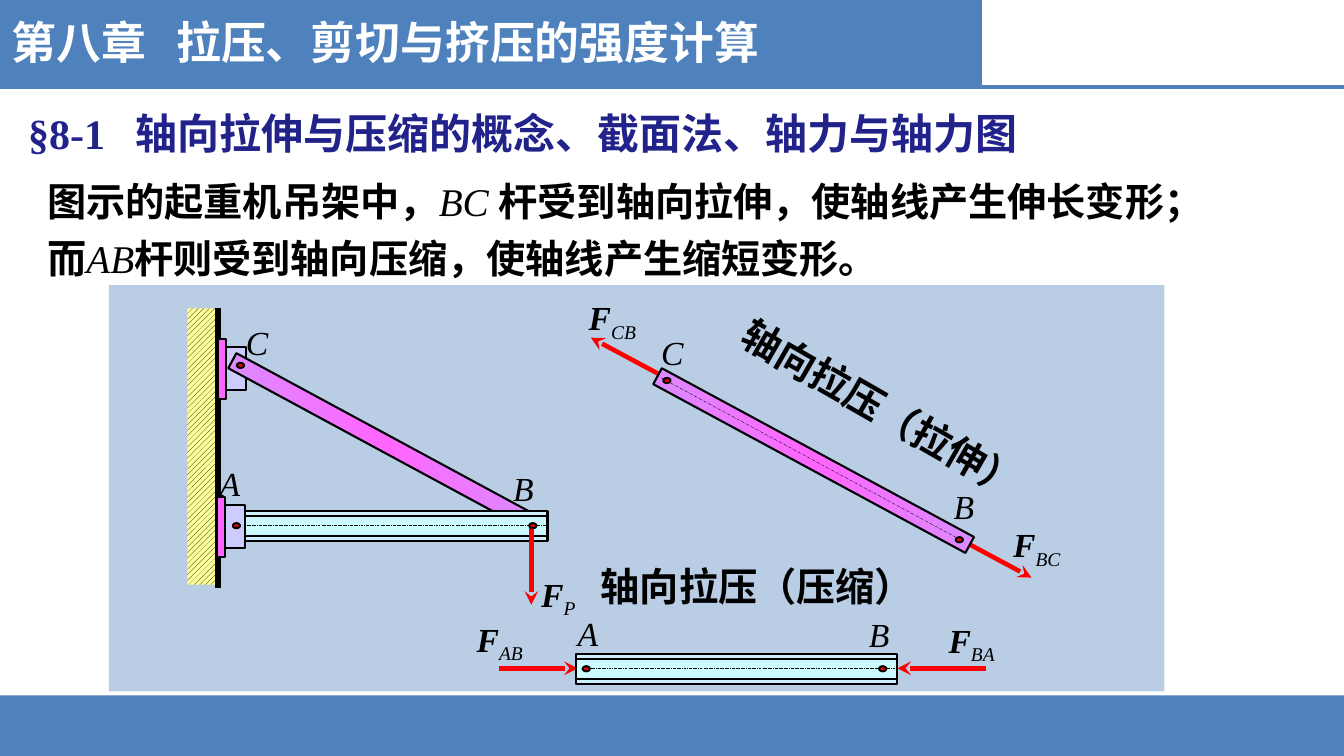
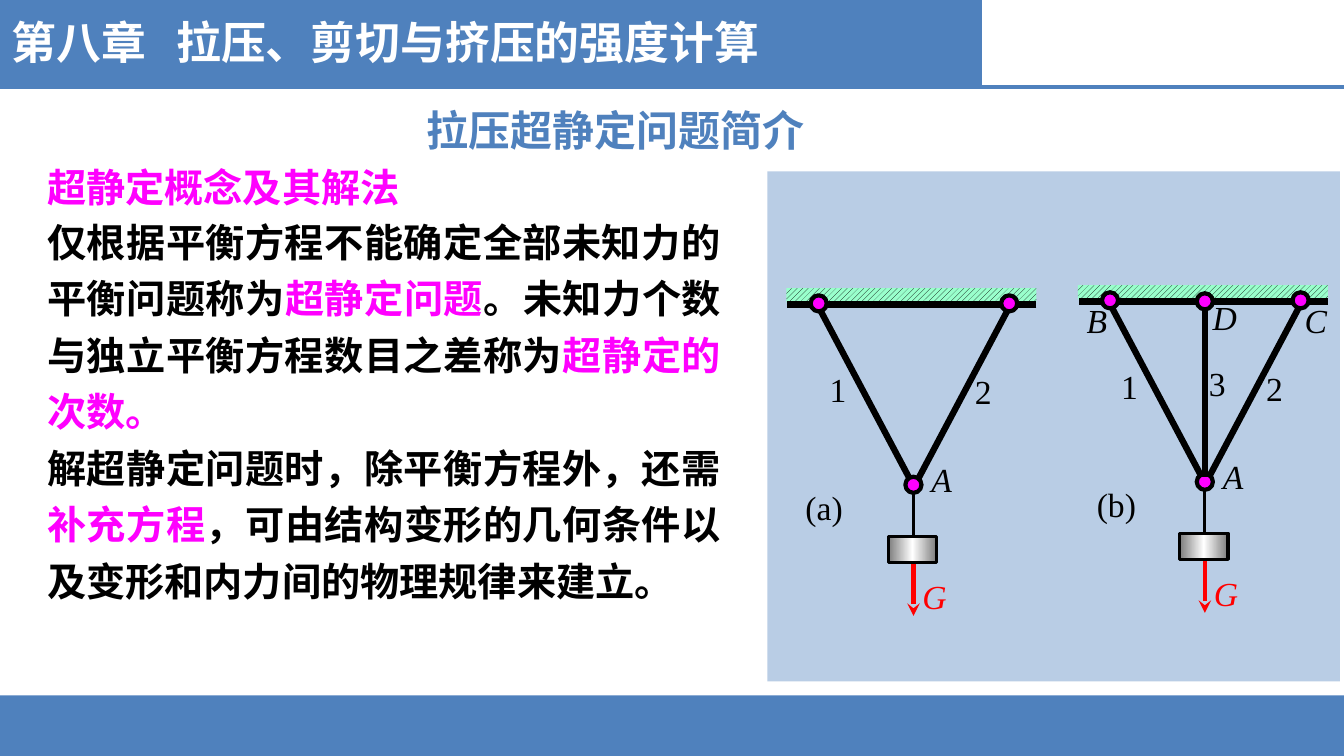
from copy import deepcopy

from lxml.etree import SubElement
from pptx import Presentation
from pptx.dml.color import RGBColor
from pptx.enum.dml import MSO_LINE, MSO_PATTERN
from pptx.enum.shapes import MSO_CONNECTOR, MSO_SHAPE
from pptx.enum.text import MSO_ANCHOR, MSO_AUTO_SIZE, PP_ALIGN
from pptx.oxml.ns import qn
from pptx.util import Emu, Pt

EMU_PER_PX = 9144
WIDTH, HEIGHT = 1333, 750
SERIF, CJK = "Times New Roman", "Noto Sans CJK SC"

WHITE = RGBColor(0xFF, 0xFF, 0xFF)
BLACK = RGBColor(0x00, 0x00, 0x00)
RED = RGBColor(0xFF, 0x00, 0x00)
BLUE = RGBColor(0x4F, 0x81, 0xBD)
NAVY = RGBColor(0x22, 0x22, 0x8B)
PANEL = RGBColor(0xB9, 0xCD, 0xE5)
MAGENTA = RGBColor(0xFF, 0x00, 0xFF)
PINK = RGBColor(0xFF, 0x66, 0xFF)
VIOLET = RGBColor(0xCC, 0x99, 0xFF)
LILAC = RGBColor(0xCC, 0xCC, 0xFF)
ICE = RGBColor(0xCC, 0xEC, 0xFF)
CYAN = RGBColor(0xCC, 0xFF, 0xFF)
YELLOW = RGBColor(0xFF, 0xFF, 0x99)
MINT = RGBColor(0x99, 0xFF, 0xCC)
GREY = RGBColor(0x7C, 0x7C, 0x7C)

BAR_ANGLE = 28.4
BEAM_W, BEAM_H = 319, 30
PIN_W, PIN_H = 7, 5


def px(v):
    return Emu(int(v * EMU_PER_PX))


def box(x, y, w, h):
    return px(x), px(y), px(w), px(h)


def add_run(p, text, size=28, font=SERIF, color=BLACK, bold=False,
            italic=False, baseline=0):
    r = p.add_run()
    r.text = text
    r.font.size = Pt(size)
    r.font.name = font
    r.font.bold = bold
    r.font.italic = italic
    r.font.color.rgb = color
    rPr = r._r.get_or_add_rPr()
    SubElement(rPr, qn("a:ea")).set("typeface", CJK)
    if baseline:
        rPr.set("baseline", str(baseline * 1000))


def write(tf, paragraphs, align=PP_ALIGN.LEFT, spacing=None, tab=None,
          grow=False, **fmt):
    tf.word_wrap = True
    tf.auto_size = MSO_AUTO_SIZE.SHAPE_TO_FIT_TEXT if grow else MSO_AUTO_SIZE.NONE
    tf.vertical_anchor = MSO_ANCHOR.TOP
    for i, runs in enumerate(paragraphs):
        p = tf.add_paragraph() if i else tf.paragraphs[0]
        p.alignment = align
        if spacing:
            p.line_spacing = spacing
        if tab:
            tabs = SubElement(p._p.get_or_add_pPr(), qn("a:tabLst"))
            stop = SubElement(tabs, qn("a:tab"))
            stop.set("pos", str(px(tab)))
            stop.set("algn", "l")
        for text, changes in runs:
            add_run(p, text, **{**fmt, **changes})


def add_text(shapes, paragraphs, x, y, w, h, rotation=0, **fmt):
    sp = shapes.add_textbox(*box(x, y, w, h))
    sp.rotation = rotation
    write(sp.text_frame, paragraphs, **fmt)
    return sp


def add_label(shapes, text, x, y, w=69, h=58, italic=True, **fmt):
    add_text(shapes, [[(text, {})]], x, y, w, h, size=24, italic=italic, **fmt)


def add_force_label(shapes, sub, x, y):
    runs = [("F", dict(bold=True)), (sub, dict(baseline=-25))]
    add_text(shapes, [runs], x, y, 84, 58, size=24, italic=True)


def add_shape(shapes, x, y, w, h, fill=None, line=1.5, kind=MSO_SHAPE.RECTANGLE,
              rotation=0):
    sp = shapes.add_shape(kind, *box(x, y, w, h))
    sp.shadow.inherit = False
    sp.rotation = rotation
    if fill is None:
        sp.fill.background()
    else:
        sp.fill.solid()
        sp.fill.fore_color.rgb = fill
    if line:
        sp.line.color.rgb = BLACK
        sp.line.width = Pt(line)
    else:
        sp.line.fill.background()
    return sp


def fill_gradient(sp, edge, middle, angle):
    sp.fill.gradient()
    sp.fill.gradient_angle = angle
    first, second = sp.fill.gradient_stops
    first.color.rgb, first.position = edge, 0
    second.color.rgb, second.position = middle, 0.5
    stops = sp.element.spPr.find(".//" + qn("a:gsLst"))
    last = deepcopy(stops[0])
    last.set("pos", "100000")
    stops.append(last)


def add_hatch(shapes, x, y, w, h, back):
    sp = add_shape(shapes, x, y, w, h, back, line=0)
    sp.fill.patterned()
    sp.fill.pattern = MSO_PATTERN.WIDE_UPWARD_DIAGONAL
    sp.fill.fore_color.rgb = BLACK
    sp.fill.back_color.rgb = back


def add_line(shapes, x1, y1, x2, y2, width=1.5, color=BLACK, dash=None,
             arrow=False):
    cx = shapes.add_connector(MSO_CONNECTOR.STRAIGHT, px(x1), px(y1), px(x2), px(y2))
    cx.line.color.rgb = color
    cx.line.width = Pt(width)
    if dash:
        cx.line.dash_style = dash
    spPr = cx.element.spPr
    if arrow:
        SubElement(spPr.find(qn("a:ln")), qn("a:tailEnd")).set("type", "stealth")
    SubElement(spPr, qn("a:effectLst"))
    return cx


def add_force(shapes, x1, y1, x2, y2, width=3.25):
    add_line(shapes, x1, y1, x2, y2, width, RED, arrow=True)


def add_axis(shapes, x1, y1, x2, y2):
    add_line(shapes, x1, y1, x2, y2, 0.25, dash=MSO_LINE.LONG_DASH_DOT)


def add_pin(shapes, x, y):
    add_shape(shapes, x, y, PIN_W, PIN_H, RED, kind=MSO_SHAPE.OVAL)


def add_joint(shapes, cx, cy):
    add_shape(shapes, cx - 8, cy - 8, 16, 16, MAGENTA, 3, MSO_SHAPE.OVAL)


def add_bar(shapes, x, y, w, h):
    sp = add_shape(shapes, x, y, w, h, PINK, rotation=BAR_ANGLE)
    fill_gradient(sp, VIOLET, PINK, 45)


def add_beam(shapes, x, y):
    sp = add_shape(shapes, x, y, BEAM_W, BEAM_H, CYAN)
    fill_gradient(sp, ICE, CYAN, 90)
    for dy in (5, 25):
        add_line(shapes, x, y + dy, x + BEAM_W + 1, y + dy)
    add_axis(shapes, x + 6, y + 14, x + BEAM_W - 1, y + 14)


def add_bands(slide, layout):
    shapes = slide.shapes
    bands = [
        add_shape(shapes, 0, 690, WIDTH, 60, BLUE, line=0),
        add_shape(shapes, 0, 0, 974, 86, BLUE, line=0),
        add_line(shapes, 0, 86, WIDTH, 86, 3, BLUE),
        add_text(shapes, [[("第八章\t拉压、剪切与挤压的强度计算", {})]], 2, 10, 778, 64,
                 tab=163, size=32, font=CJK, color=WHITE, bold=True),
    ]
    for sp in bands:
        layout.shapes.element.append(sp.element)


def set_title(slide, text, x, y, w, h, **fmt):
    sp = slide.shapes.title
    sp.left, sp.top, sp.width, sp.height = box(x, y, w, h)
    write(sp.text_frame, [[(text, {})]], size=30, bold=True, **fmt)


def draw_crane(shapes):
    add_hatch(shapes, 186, 306, 30, 274, YELLOW)
    add_line(shapes, 216, 306, 216, 583, 4.5)
    add_shape(shapes, 216, 336, 8, 60, PINK)
    add_shape(shapes, 224, 344, 20, 43, LILAC)
    for name, x, y in (("C", 234, 314), ("A", 208, 454), ("B", 499, 459)):
        add_label(shapes, name, x, y)
    add_force_label(shapes, "P", 527, 564)
    add_bar(shapes, 210, 430, 339, 17)
    add_beam(shapes, 224, 507)
    add_force(shapes, 527, 520, 527, 600)
    add_shape(shapes, 215, 493, 8, 60, PINK)
    add_shape(shapes, 223, 501, 20, 43, LILAC)
    for x, y in ((525, 519), (235, 360), (231, 519)):
        add_pin(shapes, x, y)


def draw_tension(shapes):
    add_force(shapes, 954, 536, 1023, 573)
    add_force(shapes, 657, 373, 586, 335)
    add_bar(shapes, 631, 448, 352, 18)
    add_axis(shapes, 656, 375, 948, 533)
    add_pin(shapes, 948, 533)
    add_pin(shapes, 658, 375)
    add_label(shapes, "C", 646, 324)
    add_label(shapes, "B", 936, 477)
    add_force_label(shapes, "CB", 574, 290)
    add_force_label(shapes, "BC", 995, 515)


def draw_compression(shapes):
    x, y = 571, 649
    add_force(shapes, 495, 663, 573, 663)
    add_force(shapes, 978, 663, 890, 663)
    add_beam(shapes, x, y)
    for dx in (7, 301):
        add_pin(shapes, x + dx, y + 12)
    add_label(shapes, "A", 563, 603)
    add_label(shapes, "B", 852, 604)
    add_force_label(shapes, "AB", 463, 609)
    add_force_label(shapes, "BA", 931, 610)


def draw_truss(shapes, x, y, caption):
    mid = x + 126
    add_shape(shapes, x + 30, y, 193, 182, line=4.5,
              kind=MSO_SHAPE.ISOSCELES_TRIANGLE, rotation=180)
    add_hatch(shapes, x, y - 15, 248, 14, MINT)
    add_line(shapes, x + 248, y + 1, x + 1, y + 1, 4.5)
    add_force(shapes, mid, y + 244, mid, y + 310, 3)
    add_line(shapes, mid, y + 180, mid, y + 234, 2.25)
    weight = add_shape(shapes, mid - 25, y + 231, 48, 26, WHITE, 2.25)
    fill_gradient(weight, GREY, WHITE, 0)
    for cx, cy in ((x + 32, y), (x + 221, y), (mid, y + 180)):
        add_joint(shapes, cx, cy)
    add_label(shapes, caption, x + 9, y + 177, italic=False)
    add_label(shapes, "1", x + 33, y + 60, 48, 50, italic=False)
    add_label(shapes, "G", x + 125, y + 265, color=RED)
    add_label(shapes, "A", x + 134, y + 149, 51, 42)


def draw_middle_bar(shapes, x, y):
    add_line(shapes, x, y + 175, x, y + 2, 4.5)
    add_joint(shapes, x, y + 1)
    add_label(shapes, "D", x - 2, y - 8, 37, 45)
    add_label(shapes, "3", x - 6, y + 57, 48, 50, italic=False)


def build_axial_slide(slide):
    shapes = slide.shapes
    set_title(slide, "§8-1\t轴向拉伸与压缩的概念、截面法、轴力与轴力图", 18, 102, 1066, 61,
              color=NAVY, tab=106)
    name = dict(bold=False, italic=True)
    add_text(shapes, [[
        ("图示的起重机吊架中，", {}), ("BC ", name),
        ("杆受到轴向拉伸，使轴线产生伸长变形；而", {}), ("AB", name),
        ("杆则受到轴向压缩，使轴线产生缩短变形。", {}),
    ]], 37, 162, 1181, 123, spacing=1.2, bold=True, grow=True)
    add_shape(shapes, 108, 283, 1047, 403, PANEL, line=0)
    for draw in (draw_tension, draw_compression, draw_crane):
        draw(shapes.add_group_shape().shapes)
    for text, x, y, angle in (("轴向拉压（拉伸）", 708, 383, 30),
                              ("轴向拉压（压缩）", 586, 553, 0)):
        add_text(shapes, [[(text, {})]], x, y, 355, 57, rotation=angle,
                 bold=True, grow=True)


def build_indeterminate_slide(slide):
    shapes = slide.shapes
    set_title(slide, "拉压超静定问题简介", 413, 89, 411, 66, font=CJK, color=BLUE,
              spacing=1.2)
    body = dict(align=PP_ALIGN.JUSTIFY, spacing=1.2, bold=True, grow=True)
    key = dict(color=MAGENTA)
    add_text(shapes, [[("超静定概念及其解法", key)]], 37, 148, 1173, 62, **body)
    add_text(shapes, [
        [("仅根据平衡方程不能确定全部未知力的平衡问题称为", {}), ("超静定问题", key),
         ("。未知力个数与独立平衡方程数目之差称为", {}), ("超静定的次数。", key)],
        [("解超静定问题时，除平衡方程外，还需", {}), ("补充方程", key),
         ("，可由结构变形的几何条件以及变形和内力间的物理规律来建立。", {})],
    ], 37, 202, 688, 401, **body)
    add_shape(shapes, 761, 170, 568, 506, PANEL, line=0)
    two_bars = shapes.add_group_shape().shapes
    draw_truss(two_bars, 780, 301, "(a)")
    add_label(two_bars, "2", 957, 363, 45, 47, italic=False)
    three_bars = shapes.add_group_shape().shapes
    draw_truss(three_bars, 1069, 298, "(b)")
    draw_middle_bar(three_bars, 1195, 298)
    add_label(three_bars, "2", 1246, 360, 45, 47, italic=False)
    add_label(three_bars, "B", 1068, 293, 50, 51)
    add_label(three_bars, "C", 1284, 293, 37, 45)


def main():
    prs = Presentation()
    prs.slide_width, prs.slide_height = px(WIDTH), px(HEIGHT)
    layout = prs.slide_layouts.get_by_name("Title Only")
    for ph in list(layout.placeholders)[1:]:
        layout.shapes.element.remove(ph.element)
    axial, indeterminate = [prs.slides.add_slide(layout) for _ in range(2)]
    add_bands(axial, layout)
    build_axial_slide(axial)
    build_indeterminate_slide(indeterminate)
    prs.save("out.pptx")


if __name__ == "__main__":
    main()
